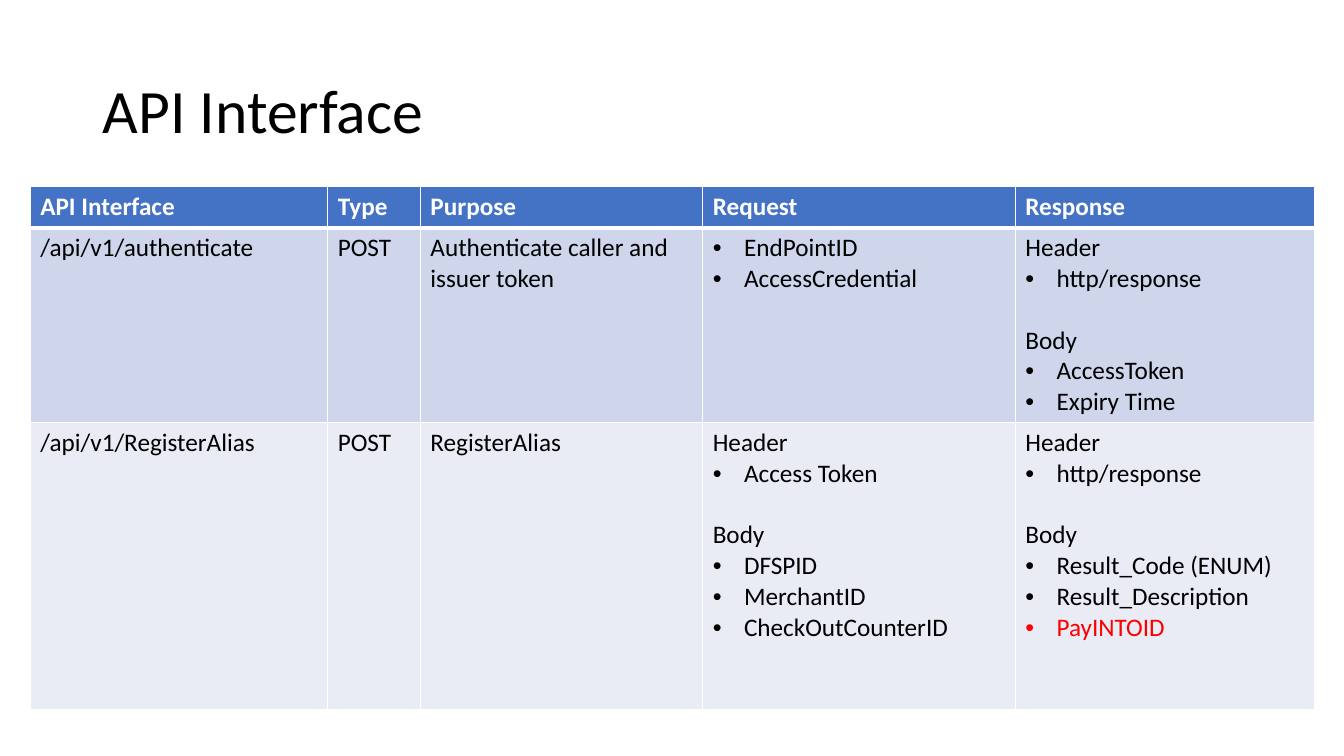
"""Build the API interface slide with its endpoint table."""
from dataclasses import dataclass

from lxml import etree
from pptx import Presentation
from pptx.dml.color import RGBColor
from pptx.enum.text import MSO_ANCHOR, MSO_AUTO_SIZE, PP_ALIGN
from pptx.oxml.ns import qn
from pptx.slide import Slide
from pptx.table import _Cell
from pptx.text.text import _Paragraph
from pptx.util import Inches, Pt

LEFT = PP_ALIGN.LEFT
MIDDLE = MSO_ANCHOR.MIDDLE
NO_AUTOFIT = MSO_AUTO_SIZE.NONE
TITLE_ONLY_LAYOUT = 5


@dataclass(frozen=True)
class Theme:
    font: str = "Calibri"
    title_size: int = 44
    table_size: int = 18
    section_gap: int = 22
    text: str = "000000"
    header_text: str = "FFFFFF"
    highlight: str = "FF0000"
    header_fill: str = "4472C4"
    row_fills: tuple[str, ...] = ("CFD5EA", "E9EBF5")
    border: str = "FFFFFF"
    thin_border: int = 1
    thick_border: int = 3


@dataclass(frozen=True)
class Line:
    text: str
    bullet: bool = False
    colour: str = Theme.text
    gap: int = 0


@dataclass(frozen=True)
class Endpoint:
    address: str
    method: str
    purpose: str
    request: list[Line]
    response: list[Line]

    def cells(self) -> list[list[Line]]:
        plain = [[Line(text)] for text in (self.address, self.method, self.purpose)]
        return plain + [self.request, self.response]


THEME = Theme()
HEADINGS = ["API Interface", "Type", "Purpose", "Request", "Response"]
COLUMN_WIDTHS = [2.95, 0.92, 2.8, 3.1, 2.97]
ROW_HEIGHTS = [0.41, 1.92, 2.85]


def bullets(*texts: str, colour: str = THEME.text) -> list[Line]:
    return [Line(text, bullet=True, colour=colour) for text in texts]


def message(header: str, *body: str) -> list[Line]:
    return [Line("Header"), *bullets(header),
            Line("Body", gap=THEME.section_gap), *bullets(*body)]


ENDPOINTS = [
    Endpoint("/api/v1/authenticate", "POST", "Authenticate caller and issuer token",
             bullets("EndPointID", "AccessCredential"),
             message("http/response", "AccessToken", "Expiry Time")),
    Endpoint("/api/v1/RegisterAlias", "POST", "RegisterAlias",
             message("Access Token", "DFSPID", "MerchantID", "CheckOutCounterID"),
             message("http/response", "Result_Code (ENUM)", "Result_Description")
             + bullets("PayINTOID", colour=THEME.highlight)),
]


def write_text(paragraph: _Paragraph, text: str, *, size: int = THEME.table_size,
               colour: str = THEME.text, bold: bool = False, bullet: bool = False,
               gap: int = 0, line_spacing: float = 1.0) -> None:
    paragraph.alignment = LEFT
    paragraph.line_spacing = line_spacing
    paragraph.space_before = Pt(gap)
    run = paragraph.add_run()
    run.text = text
    run.font.name = THEME.font
    run.font.size = Pt(size)
    run.font.bold = bold
    run.font.color.rgb = RGBColor.from_string(colour)
    if bullet:
        properties = paragraph._p.get_or_add_pPr()
        properties.set("marL", str(Inches(0.31)))
        properties.set("indent", str(-Inches(0.31)))
        etree.SubElement(properties, qn("a:buFont"), typeface="Arial")
        etree.SubElement(properties, qn("a:buChar"), char="•")


def set_borders(cell: _Cell, top: int, bottom: int) -> None:
    properties = cell._tc.get_or_add_tcPr()
    widths = {"a:lnL": THEME.thin_border, "a:lnR": THEME.thin_border,
              "a:lnT": top, "a:lnB": bottom}
    for tag, width in widths.items():
        line = etree.SubElement(properties, qn(tag), w=str(Pt(width)))
        fill = etree.SubElement(line, qn("a:solidFill"))
        etree.SubElement(fill, qn("a:srgbClr"), val=THEME.border)


def fill_cell(cell: _Cell, lines: list[Line], fill: str, *, bold: bool = False,
              top: int = THEME.thin_border, bottom: int = THEME.thin_border) -> None:
    set_borders(cell, top, bottom)
    cell.fill.solid()
    cell.fill.fore_color.rgb = RGBColor.from_string(fill)
    frame = cell.text_frame
    for index, line in enumerate(lines):
        paragraph = frame.add_paragraph() if index else frame.paragraphs[0]
        write_text(paragraph, line.text, colour=line.colour, bold=bold,
                   bullet=line.bullet, gap=line.gap)


def add_title(slide: Slide, text: str) -> None:
    title = slide.shapes.title
    title.left, title.top = Inches(0.92), Inches(0.4)
    title.width, title.height = Inches(11.5), Inches(1.45)
    frame = title.text_frame
    frame.auto_size = NO_AUTOFIT
    frame.word_wrap = True
    frame.vertical_anchor = MIDDLE
    write_text(frame.paragraphs[0], text, size=THEME.title_size, line_spacing=0.9)


def add_endpoint_table(slide: Slide) -> None:
    table = slide.shapes.add_table(
        len(ROW_HEIGHTS), len(COLUMN_WIDTHS), Inches(0.3), Inches(1.85),
        Inches(sum(COLUMN_WIDTHS)), Inches(sum(ROW_HEIGHTS))).table
    for column, width in zip(table.columns, COLUMN_WIDTHS):
        column.width = Inches(width)
    for row, height in zip(table.rows, ROW_HEIGHTS):
        row.height = Inches(height)
    for index, heading in enumerate(HEADINGS):
        fill_cell(table.cell(0, index), [Line(heading, colour=THEME.header_text)],
                  THEME.header_fill, bold=True, bottom=THEME.thick_border)
    for row, (endpoint, fill) in enumerate(zip(ENDPOINTS, THEME.row_fills), start=1):
        top = THEME.thick_border if row == 1 else THEME.thin_border
        for column, lines in enumerate(endpoint.cells()):
            fill_cell(table.cell(row, column), lines, fill, top=top)


def main() -> None:
    presentation = Presentation()
    presentation.slide_width, presentation.slide_height = Inches(13.33), Inches(7.5)
    slide = presentation.slides.add_slide(presentation.slide_layouts[TITLE_ONLY_LAYOUT])
    add_title(slide, "API Interface")
    add_endpoint_table(slide)
    presentation.save("out.pptx")


if __name__ == "__main__":
    main()
